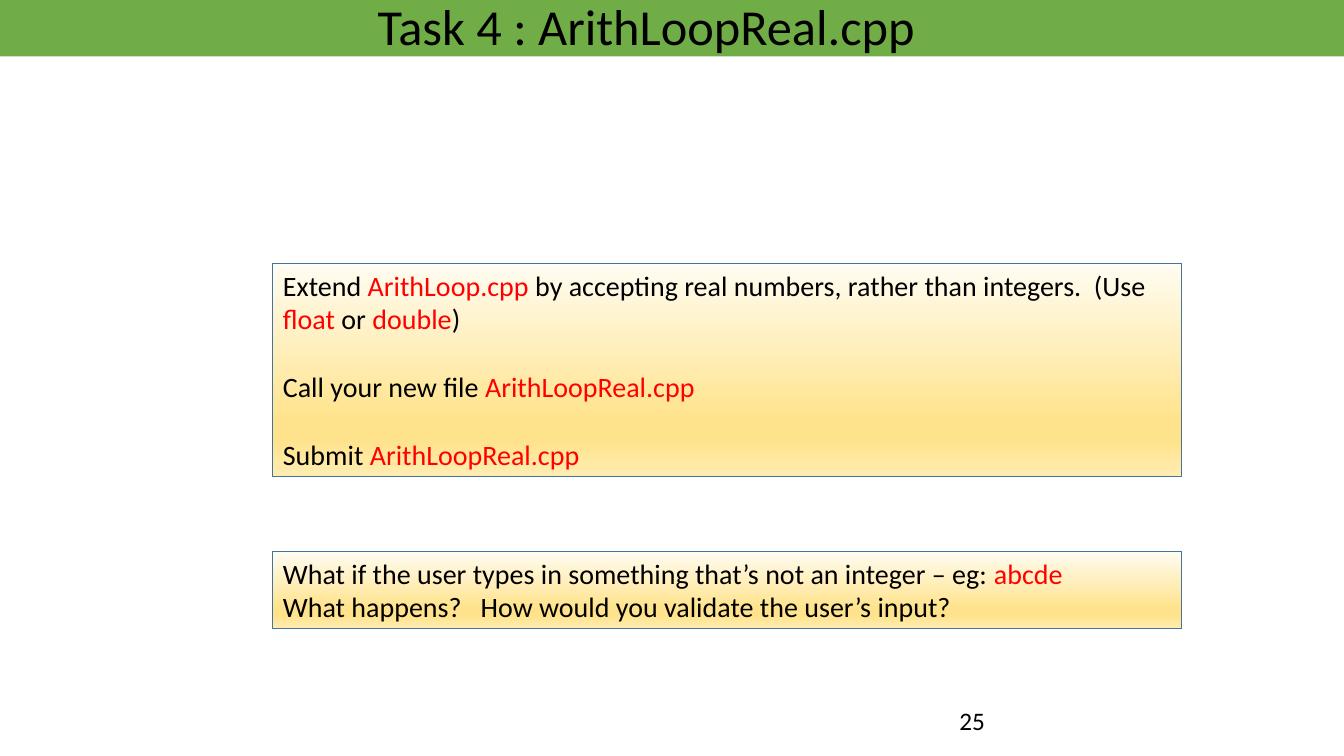
from lxml import etree
from pptx import Presentation
from pptx.dml.color import RGBColor
from pptx.enum.shapes import MSO_SHAPE
from pptx.enum.text import MSO_ANCHOR, PP_ALIGN
from pptx.oxml.ns import qn
from pptx.util import Cm, Pt

RECTANGLE = MSO_SHAPE.RECTANGLE
TOP = MSO_ANCHOR.TOP
LEFT = PP_ALIGN.LEFT

COLORS = {
    "band": "70AD47",
    "border": "43739E",
    "text": "000000",
    "code": "FF0000",
}
GRADIENT_STOPS = [(0, "FFFCF2"), (74, "FFE38C"), (83, "FFE38C"), (100, "FFECB2")]

SLIDE_WIDTH, SLIDE_HEIGHT = 33.87, 19.05
PANEL_LEFT, PANEL_WIDTH = 6.88, 22.89
BLANK_LINE = 24.4

TASK = [
    [
        ("Extend ", "text"), ("ArithLoop.cpp", "code"),
        (" by accepting real numbers, rather than integers.  (Use ", "text"),
        ("float", "code"), (" or ", "text"), ("double", "code"), (")", "text"),
    ],
    [("Call your new file ", "text"), ("ArithLoopReal.cpp", "code")],
    [("Submit", "text"), (" ArithLoopReal.cpp", "code")],
]
QUESTION = [
    [
        ("What if the user types in something that’s not an integer – eg: ", "text"),
        ("abcde", "code"),
    ],
    [("What happens?   How would you validate the user’s input?", "text")],
]


def color(name):
    return RGBColor.from_string(COLORS[name])


def apply_format(target, values):
    for name, value in values.items():
        setattr(target, name, value)


def write_text(shape, paragraphs, size, gap=0):
    text_frame = shape.text_frame
    apply_format(text_frame, {"word_wrap": True, "vertical_anchor": TOP})
    for index, runs in enumerate(paragraphs):
        paragraph = text_frame.add_paragraph() if index else text_frame.paragraphs[0]
        space = Pt(gap if index else 0)
        apply_format(paragraph, {"alignment": LEFT, "space_before": space})
        for text, color_name in runs:
            run = paragraph.add_run()
            run.text = text
            apply_format(run.font, {"name": "Calibri", "size": Pt(size)})
            run.font.color.rgb = color(color_name)


def add_rectangle(slide, box):
    shape = slide.shapes.add_shape(RECTANGLE, *map(Cm, box))
    shape.shadow.inherit = False
    return shape


def add_label(slide, box, text, size):
    shape = slide.shapes.add_textbox(*map(Cm, box))
    write_text(shape, [[(text, "text")]], size)


def fill_gradient(shape):
    shape.fill.gradient()
    shape.fill.gradient_angle = 270
    stop_list = next(shape.element.iter(qn("a:gsLst")))
    for stop in list(stop_list):
        stop_list.remove(stop)
    for position, hex_color in GRADIENT_STOPS:
        stop = etree.SubElement(stop_list, qn("a:gs"), pos=str(position * 1000))
        etree.SubElement(stop, qn("a:srgbClr"), val=hex_color)


def add_header(slide, box):
    left, top, width, height = box
    band = add_rectangle(slide, box)
    band.fill.solid()
    band.fill.fore_color.rgb = color("band")
    band.line.fill.background()
    title_box = (left + 9.27, top - 0.25, 14.99, height + 0.38)
    add_label(slide, title_box, "Task 4 : ArithLoopReal.cpp", 36)


def add_panel(slide, box, paragraphs, gap=0):
    panel = add_rectangle(slide, box)
    fill_gradient(panel)
    panel.line.color.rgb = color("border")
    panel.line.width = Pt(0.75)
    write_text(panel, paragraphs, 20, gap)


def main():
    presentation = Presentation()
    size = {"slide_width": Cm(SLIDE_WIDTH), "slide_height": Cm(SLIDE_HEIGHT)}
    apply_format(presentation, size)
    slide = presentation.slides.add_slide(presentation.slide_layouts[6])
    add_header(slide, (0, 0, SLIDE_WIDTH, 1.42))
    add_panel(slide, (PANEL_LEFT, 6.63, PANEL_WIDTH, 5.38), TASK, BLANK_LINE)
    add_panel(slide, (PANEL_LEFT, 13.89, PANEL_WIDTH, 1.96), QUESTION)
    add_label(slide, (23.93, 17.65, 7.62, 1.02), "25", 18)
    presentation.save("out.pptx")


if __name__ == "__main__":
    main()
